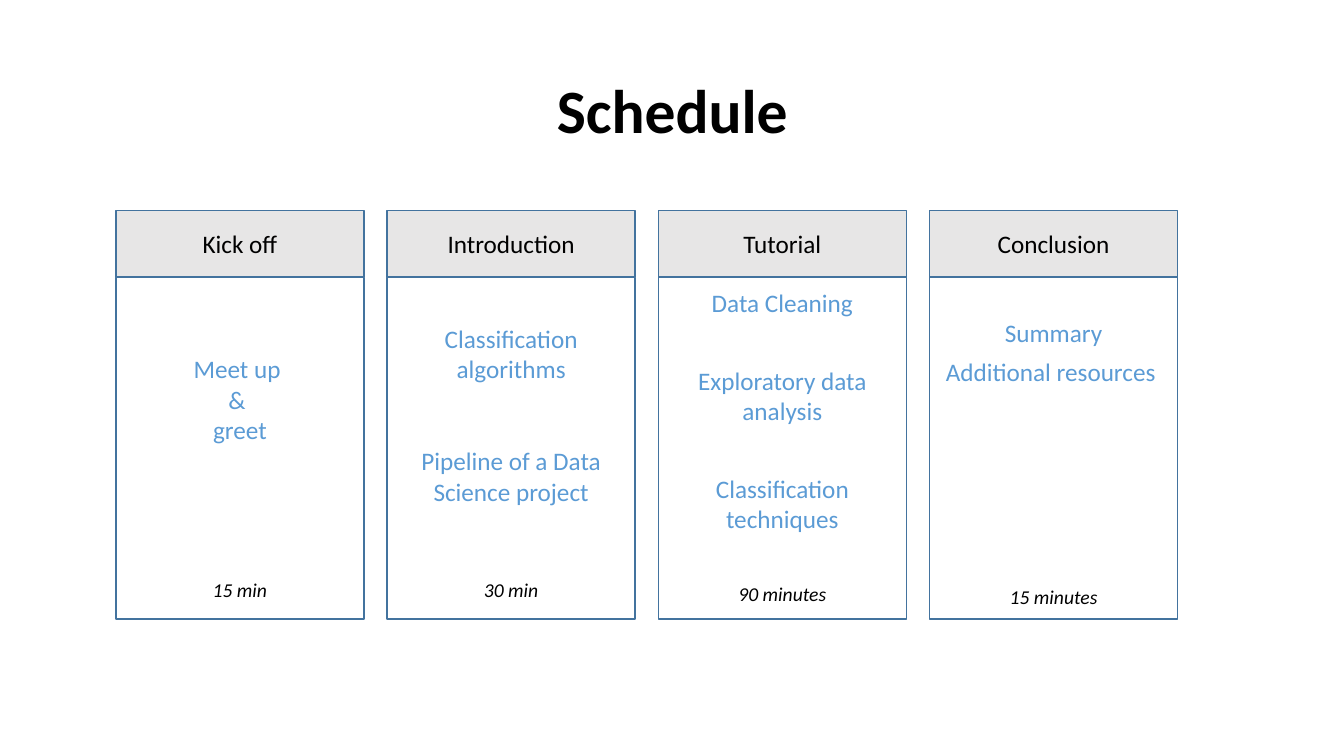
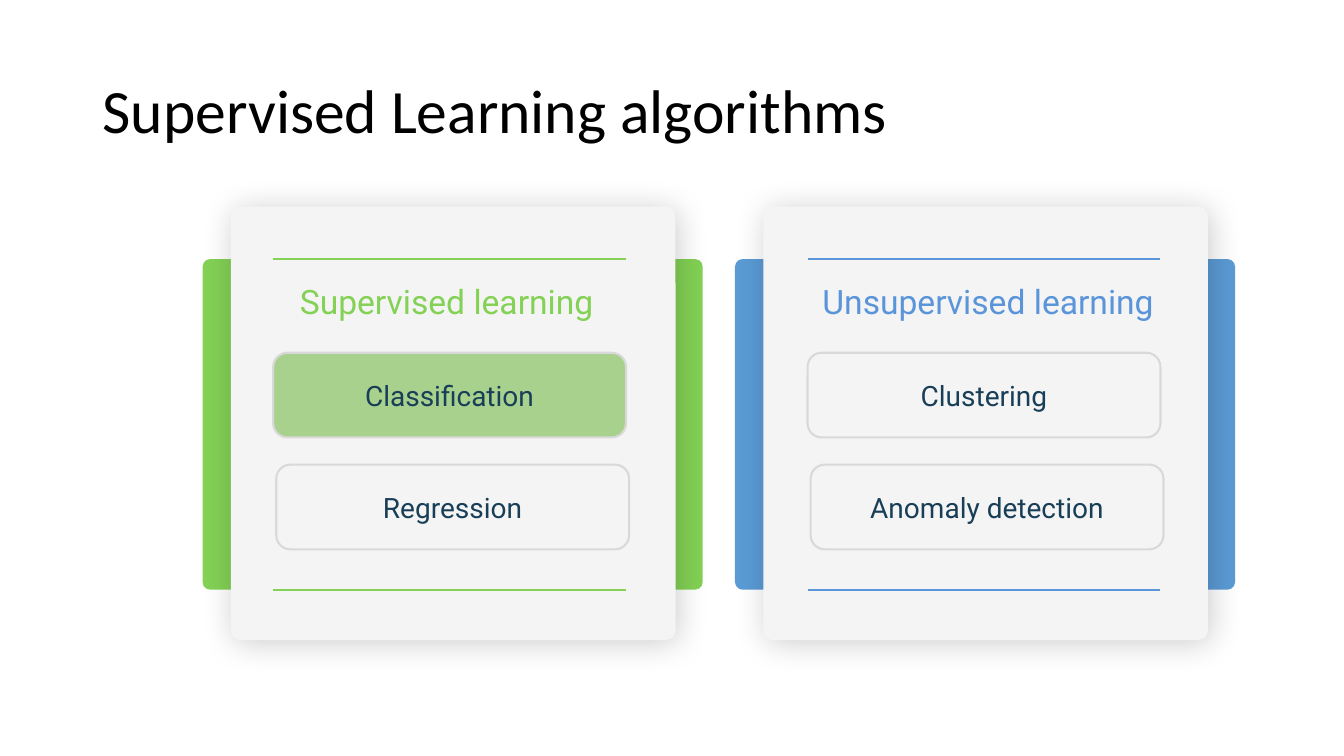
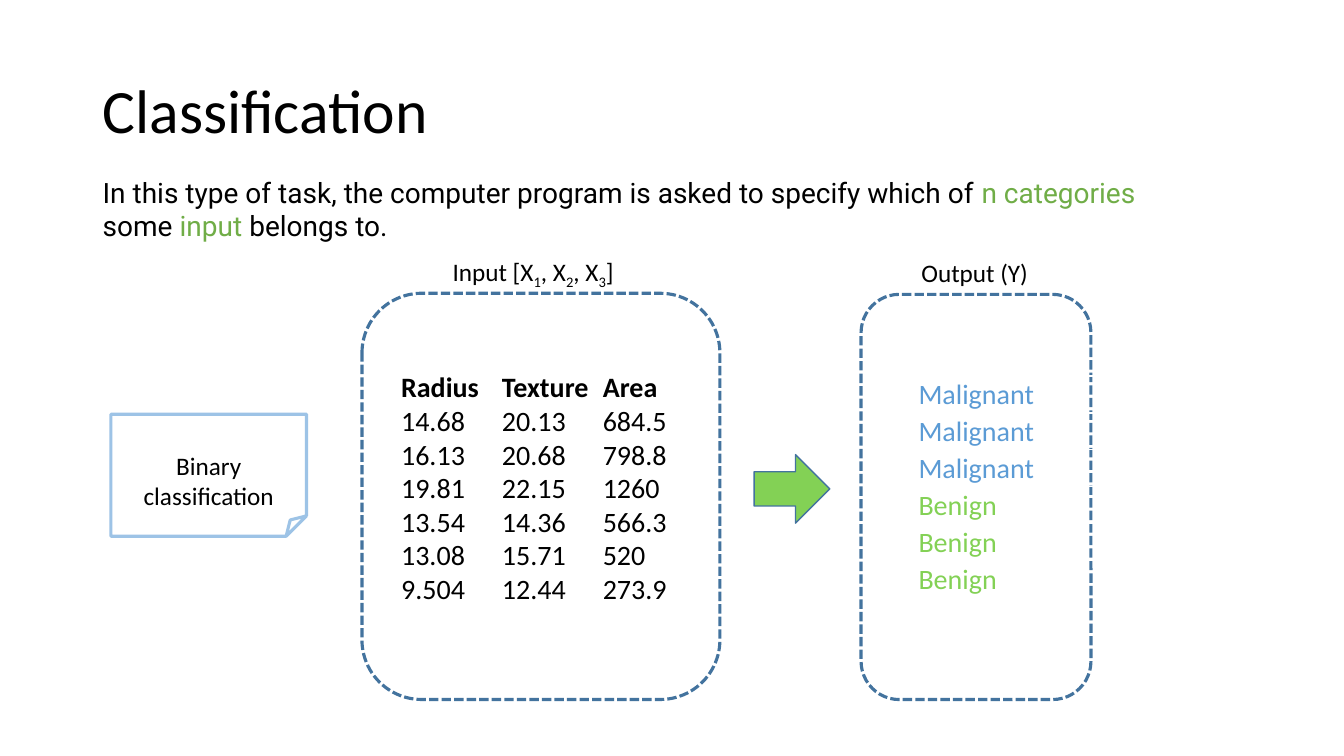
from dataclasses import dataclass

from lxml import etree
from pptx import Presentation
from pptx.dml.color import RGBColor
from pptx.enum import dml, shapes, text
from pptx.oxml.ns import qn
from pptx.util import Inches, Pt


@dataclass(frozen=True)
class Theme:
    body: str = "Calibri"
    accent: str = "Roboto"
    black: str = "000000"
    white: str = "FFFFFF"
    blue: str = "5B9BD5"
    sky: str = "5A95D9"
    pale_blue: str = "9DC3E6"
    outline: str = "43739E"
    green: str = "83D155"
    soft_green: str = "A9D18E"
    term: str = "70AD47"
    header: str = "E7E6E6"
    card: str = "F5F4F4"
    button_line: str = "D9D9D9"
    navy: str = "183F57"
    title: int = 44
    heading: int = 24
    large: int = 20
    normal: int = 18
    small: int = 14


T = Theme()
MSO = shapes.MSO_SHAPE
CENTER = text.PP_ALIGN.CENTER
LEFT = text.PP_ALIGN.LEFT
TOP = text.MSO_ANCHOR.TOP
MIDDLE = text.MSO_ANCHOR.MIDDLE

SCHEDULE = [
    {"name": "Kick off", "top": 0.76, "time": ("15 min", 95.2),
     "items": [("Meet up ", 0), ("& ", 0), ("greet", 0)]},
    {"name": "Introduction", "top": 0.46, "time": ("30 min", 51.3),
     "items": [("Classification algorithms", 0), ("Pipeline of a Data Science project", 44)]},
    {"name": "Tutorial", "top": 0.1, "time": ("90 minutes", 34.2),
     "items": [("Data Cleaning", 0), ("Exploratory data analysis", 34),
               ("Classification techniques", 34)]},
    {"name": "Conclusion", "top": 0.4, "time": ("15 minutes", 141.6),
     "items": [("Summary", 0), ("Additional resources ", 6)]},
]

PANELS = [
    {"name": "Supervised learning", "back": T.green, "ink": T.green, "center": 4.43,
     "buttons": [("Classification", T.soft_green), ("Regression", None)]},
    {"name": "Unsupervised learning", "back": T.blue, "ink": T.sky, "center": 9.8,
     "buttons": [("Clustering", None), ("Anomaly detection", None)]},
]

DEFINITION = [
    ("In this type of task, the computer program is asked to specify which of ", T.black),
    ("n categories ", T.term), ("some ", T.black), ("input", T.term), (" belongs to.", T.black),
]
INPUT_LABEL = ["Input [X", "1", ", X", "2", ", X", "3", "]"]
FEATURES = [
    ("Radius", "Texture", "Аrea"),
    ("14.68", "20.13", "684.5"),
    ("16.13", "20.68", "798.8"),
    ("19.81", "22.15", "1260"),
    ("13.54", "14.36", "566.3"),
    ("13.08", "15.71", "520"),
    ("9.504", "12.44", "273.9"),
]
LABELS = [("Malignant", T.blue)] * 3 + [("Benign", T.green)] * 3


def rgb(color):
    return RGBColor.from_string(color)


def style(p, size, color=T.black, font=T.body, bold=False, italic=False, align=LEFT):
    p.alignment = align
    for r in p.runs:
        f = r.font
        f.size, f.name, f.bold, f.italic = Pt(size), font, bold, italic
        f.color.rgb = rgb(color)


def write(tf, lines, size, **look):
    tf.text = "\n".join(lines)
    for p in tf.paragraphs:
        style(p, size, **look)


def add_box(s, kind, x, y, w, h, fill=None, line=None, width=1, adj=None):
    sp = s.shapes.add_shape(kind, Inches(x), Inches(y), Inches(w), Inches(h))
    sp.shadow.inherit = False
    if fill:
        sp.fill.solid()
        sp.fill.fore_color.rgb = rgb(fill)
    else:
        sp.fill.background()
    if line:
        sp.line.color.rgb = rgb(line)
        sp.line.width = Pt(width)
    else:
        sp.line.fill.background()
    if adj is not None:
        sp.adjustments[0] = adj
    sp.text_frame.word_wrap = True
    sp.text_frame.vertical_anchor = MIDDLE
    return sp


def add_text(s, x, y, w, h, lines, size, wrap=True, anchor=TOP, **look):
    tf = s.shapes.add_textbox(Inches(x), Inches(y), Inches(w), Inches(h)).text_frame
    tf.word_wrap = wrap
    tf.vertical_anchor = anchor
    write(tf, lines, size, **look)
    return tf


def add_runs(p, pieces, size, font):
    for words, color in pieces:
        r = p.add_run()
        r.text = words
        r.font.size, r.font.name = Pt(size), font
        r.font.color.rgb = rgb(color)


def add_rule(s, x, y, w, color):
    cn = s.shapes.add_connector(shapes.MSO_CONNECTOR.STRAIGHT,
                                Inches(x), Inches(y), Inches(x + w), Inches(y))
    cn.line.color.rgb = rgb(color)
    cn.line.width = Pt(1.5)
    etree.SubElement(cn._element.spPr, qn("a:effectLst"))


def add_soft_shadow(sp):
    effects = sp._element.spPr.find(qn("a:effectLst"))
    shadow = etree.SubElement(effects, qn("a:outerShdw"), blurRad=str(Pt(23)),
                              dist=str(Pt(3)), dir="2700000", algn="tl", rotWithShape="0")
    color = etree.SubElement(shadow, qn("a:srgbClr"), val=T.black)
    etree.SubElement(color, qn("a:alpha"), val="20000")


def new_slide(prs, title, **look):
    s = prs.slides.add_slide(prs.slide_layouts[6])
    tf = add_text(s, 0.92, 0.4, 11.5, 1.45, [title], T.title, anchor=MIDDLE, **look)
    tf.paragraphs[0].line_spacing = 0.9
    return s


def schedule_slide(prs):
    s = new_slide(prs, "Schedule", bold=True, align=CENTER)
    left, top, width, step, header_h, body_h = 1.15, 2.09, 2.46, 2.69, 0.66, 3.39
    for i, stage in enumerate(SCHEDULE):
        x = left + i * step
        body = add_box(s, MSO.RECTANGLE, x, top + header_h, width, body_h, T.white, T.outline)
        tf = body.text_frame
        tf.vertical_anchor = TOP
        tf.margin_top = Inches(stage["top"])
        rows = stage["items"] + [stage["time"]]
        write(tf, [words for words, gap in rows], T.normal, color=T.blue, align=CENTER)
        for p, (words, gap) in zip(tf.paragraphs, rows):
            p.space_before = Pt(gap)
        style(tf.paragraphs[-1], T.small, italic=True, align=CENTER)
        header = add_box(s, MSO.RECTANGLE, x, top, width, header_h, T.header, T.outline)
        write(header.text_frame, [stage["name"]], T.normal, align=CENTER)


def algorithms_slide(prs):
    s = new_slide(prs, "Supervised Learning algorithms")
    for i, panel in enumerate(PANELS):
        back_x, inner_x = 2.01 + i * 5.28, 2.71 + i * 5.3
        add_box(s, MSO.ROUNDED_RECTANGLE, back_x, 2.57, 4.96, 3.28, panel["back"], adj=0.023)
        card = add_box(s, MSO.ROUNDED_RECTANGLE, back_x + 0.28, 2.05, 4.41, 4.3, T.card, adj=0.023)
        add_soft_shadow(card)
        for y in (2.57, 5.85):
            add_rule(s, inner_x, y, 3.5, panel["ink"])
        add_text(s, panel["center"] - 2.05, 2.74, 4.1, 0.5, [panel["name"]], T.heading,
                 color=panel["ink"], font=T.accent, align=CENTER)
        for j, (name, fill) in enumerate(panel["buttons"]):
            button = add_box(s, MSO.ROUNDED_RECTANGLE, inner_x + j * 0.03, 3.5 + j * 1.11,
                             3.5, 0.84, fill, T.button_line, 1.5)
            write(button.text_frame, [name], T.large, color=T.navy, font=T.accent, align=CENTER)


def classification_slide(prs):
    s = new_slide(prs, "Classification")
    tf = add_text(s, 0.92, 1.69, 10.64, 0.77, [], T.large)
    add_runs(tf.paragraphs[0], DEFINITION, T.large, T.accent)

    for x, y, w, h in ((3.59, 2.91, 3.55, 4.03), (8.54, 2.92, 2.28, 4.02)):
        frame = add_box(s, MSO.ROUNDED_RECTANGLE, x, y, w, h, line=T.outline, width=2.25)
        frame.line.dash_style = dml.MSO_LINE.SQUARE_DOT
    add_box(s, MSO.RIGHT_ARROW, 7.48, 4.51, 0.75, 0.68, T.green, T.outline)

    note = add_box(s, MSO.FOLDED_CORNER, 1.1, 4.11, 1.94, 1.21, line=T.pale_blue, width=2.25)
    note.text_frame.margin_top = Inches(0.36)
    write(note.text_frame, ["Binary classification"], T.normal, align=CENTER)

    add_text(s, 9.04, 2.5, 1.3, 0.4, ["Output (Y)"], T.normal, wrap=False)
    tf = add_text(s, 4.39, 2.49, 1.96, 0.4, [], T.normal)
    add_runs(tf.paragraphs[0], [(words, T.black) for words in INPUT_LABEL], T.normal, T.body)
    for r in tf.paragraphs[0].runs[1::2]:
        r.font._element.set("baseline", "-25000")

    tf = add_text(s, 3.88, 3.62, 3.82, 2.46, ["\t".join(row) for row in FEATURES], T.large)
    style(tf.paragraphs[0], T.large, bold=True)

    table = s.shapes.add_table(len(LABELS), 1, Inches(9.1), Inches(3.73),
                               Inches(1.89), Inches(2.2)).table
    table.first_row = table.horz_banding = False
    for i, (label, color) in enumerate(LABELS):
        cell = table.cell(i, 0)
        cell.fill.background()
        cell.vertical_anchor = MIDDLE
        cell.margin_left = cell.margin_right = cell.margin_top = Inches(0.01)
        cell.margin_bottom = 0
        write(cell.text_frame, [label], T.large, color=color)


def main():
    prs = Presentation()
    prs.slide_width, prs.slide_height = Inches(13.33), Inches(7.5)
    schedule_slide(prs)
    algorithms_slide(prs)
    classification_slide(prs)
    prs.save("out.pptx")


if __name__ == "__main__":
    main()
